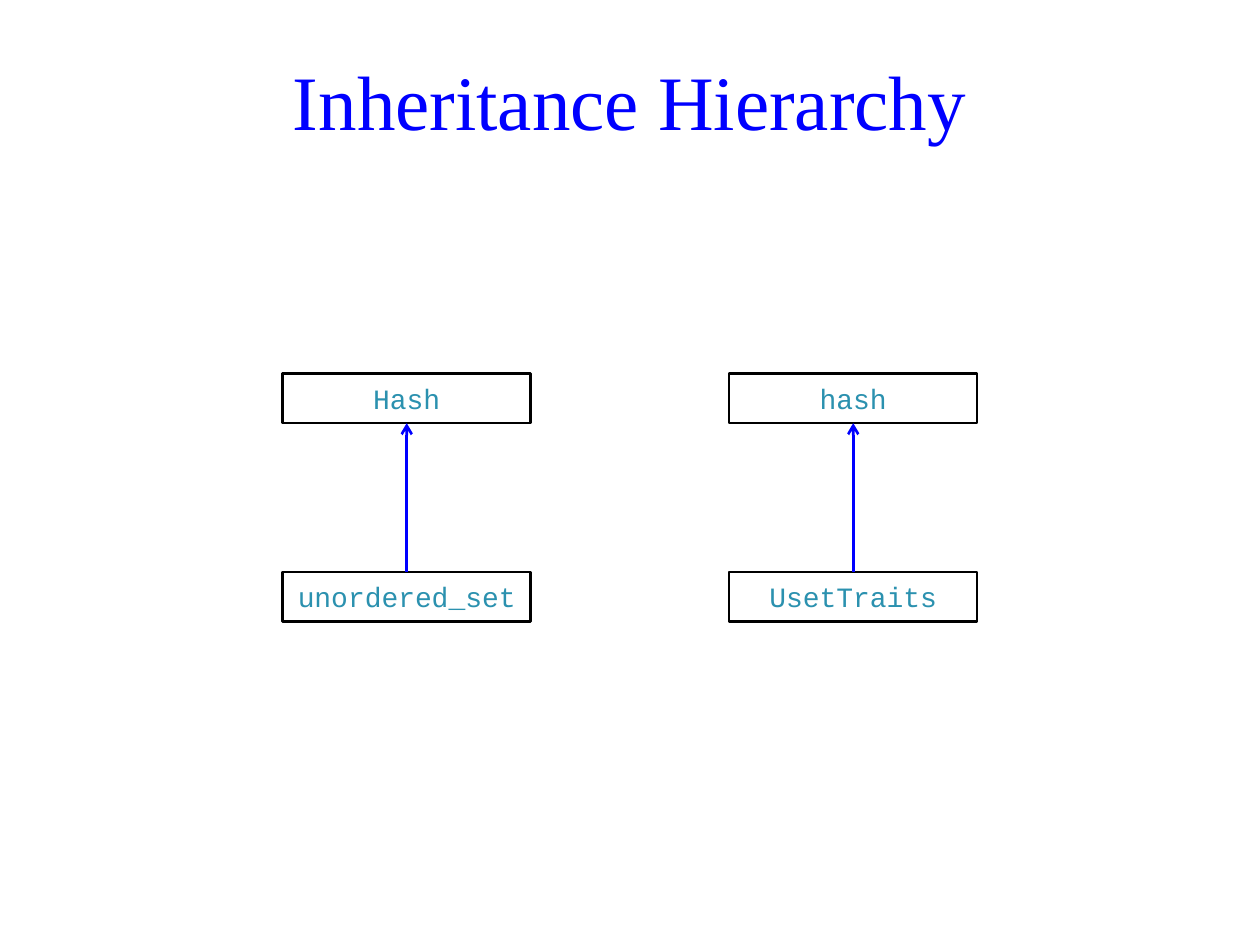
"""Build the inheritance hierarchy slide."""
from pptx import Presentation
from pptx.dml.color import RGBColor
from pptx.enum.shapes import MSO_CONNECTOR as Connector, MSO_SHAPE as Shape
from pptx.enum.text import MSO_ANCHOR as Anchor, PP_ALIGN as Align
from pptx.oxml.ns import qn
from pptx.util import Cm, Pt
from lxml.etree import SubElement

COLORS = {"title": "0000FF", "arrow": "0000FF", "type": "2B91AF",
          "border": "000000", "box": "FFFFFF"}
BOX_WIDTH, BOX_HEIGHT = 5, 1
BASE_TOP, ROW_GAP = 7.53, 3
HIERARCHIES = [(5.7, "Hash", "unordered_set"), (14.7, "hash", "UsetTraits")]


def color(name):
    return RGBColor.from_string(COLORS[name])


def write_text(shape, text, *, font, size, color_name, wrap=True):
    frame = shape.text_frame
    frame.word_wrap = wrap
    frame.vertical_anchor = Anchor.MIDDLE
    paragraph = frame.paragraphs[0]
    paragraph.alignment = Align.CENTER
    run = paragraph.add_run()
    run.text = text
    run.font.name = font
    run.font.size = Pt(size)
    run.font.color.rgb = color(color_name)


def add_title(slide, text):
    shape = slide.shapes.add_textbox(Cm(0.7), Cm(1.02), Cm(24), Cm(2))
    write_text(shape, text, font="Times New Roman", size=44, color_name="title")


def add_class_box(slide, left, top, text):
    shape = slide.shapes.add_shape(
        Shape.RECTANGLE, Cm(left), Cm(top), Cm(BOX_WIDTH), Cm(BOX_HEIGHT))
    shape.shadow.inherit = False
    shape.fill.solid()
    shape.fill.fore_color.rgb = color("box")
    shape.line.color.rgb = color("border")
    shape.line.width = Pt(1.5)
    write_text(shape, text, font="Courier New", size=16, color_name="type",
               wrap=False)


def add_arrow(slide, center, start, end):
    connector = slide.shapes.add_connector(
        Connector.STRAIGHT, Cm(center), Cm(start), Cm(center), Cm(end))
    connector.line.color.rgb = color("arrow")
    connector.line.width = Pt(1.5)
    properties = connector.line._get_or_add_ln()
    SubElement(properties, qn("a:tailEnd"), type="arrow")
    SubElement(connector._element.spPr, qn("a:effectLst"))


def add_hierarchy(slide, left, base, derived):
    base_bottom = BASE_TOP + BOX_HEIGHT
    derived_top = base_bottom + ROW_GAP
    add_class_box(slide, left, derived_top, derived)
    add_class_box(slide, left, BASE_TOP, base)
    add_arrow(slide, left + BOX_WIDTH / 2, derived_top, base_bottom)


def main():
    presentation = Presentation()
    presentation.slide_width, presentation.slide_height = Cm(25.4), Cm(19.05)
    slide = presentation.slides.add_slide(presentation.slide_layouts[6])
    add_title(slide, "Inheritance Hierarchy")
    for left, base, derived in HIERARCHIES:
        add_hierarchy(slide, left, base, derived)
    presentation.save("out.pptx")


main()
